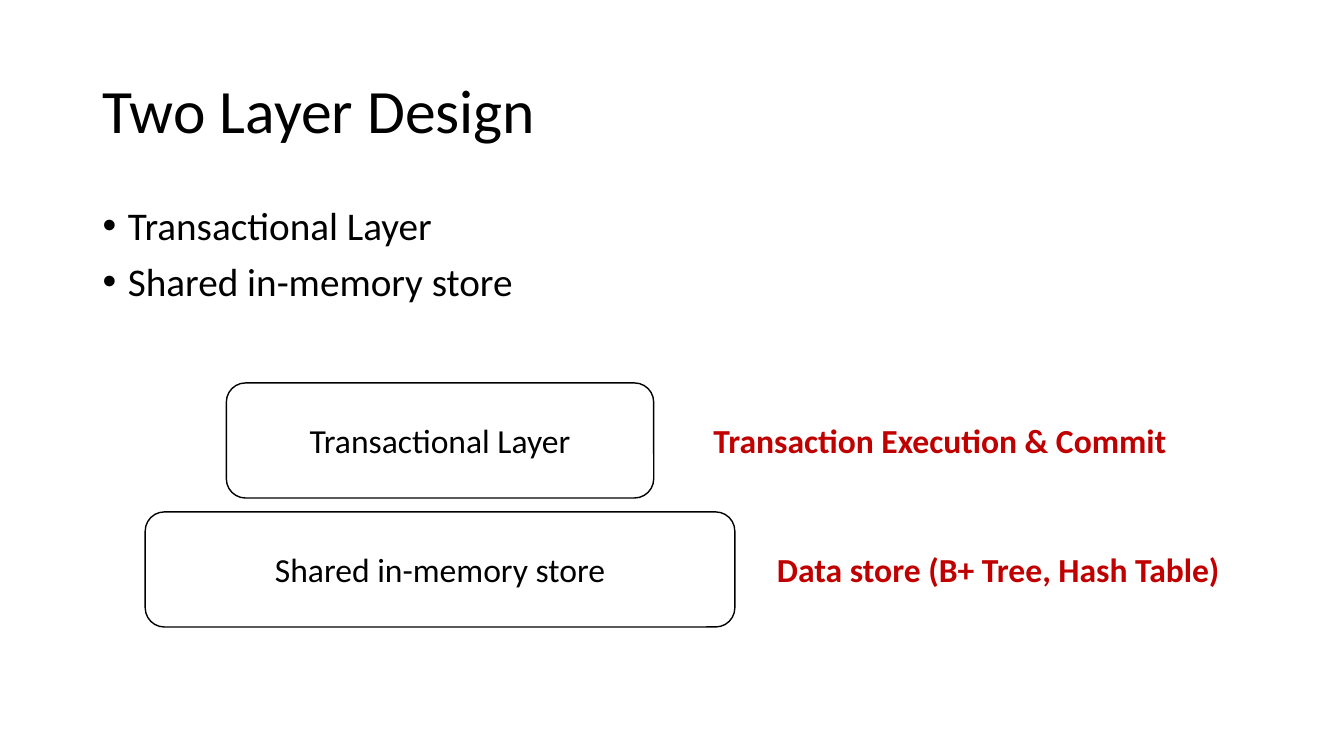
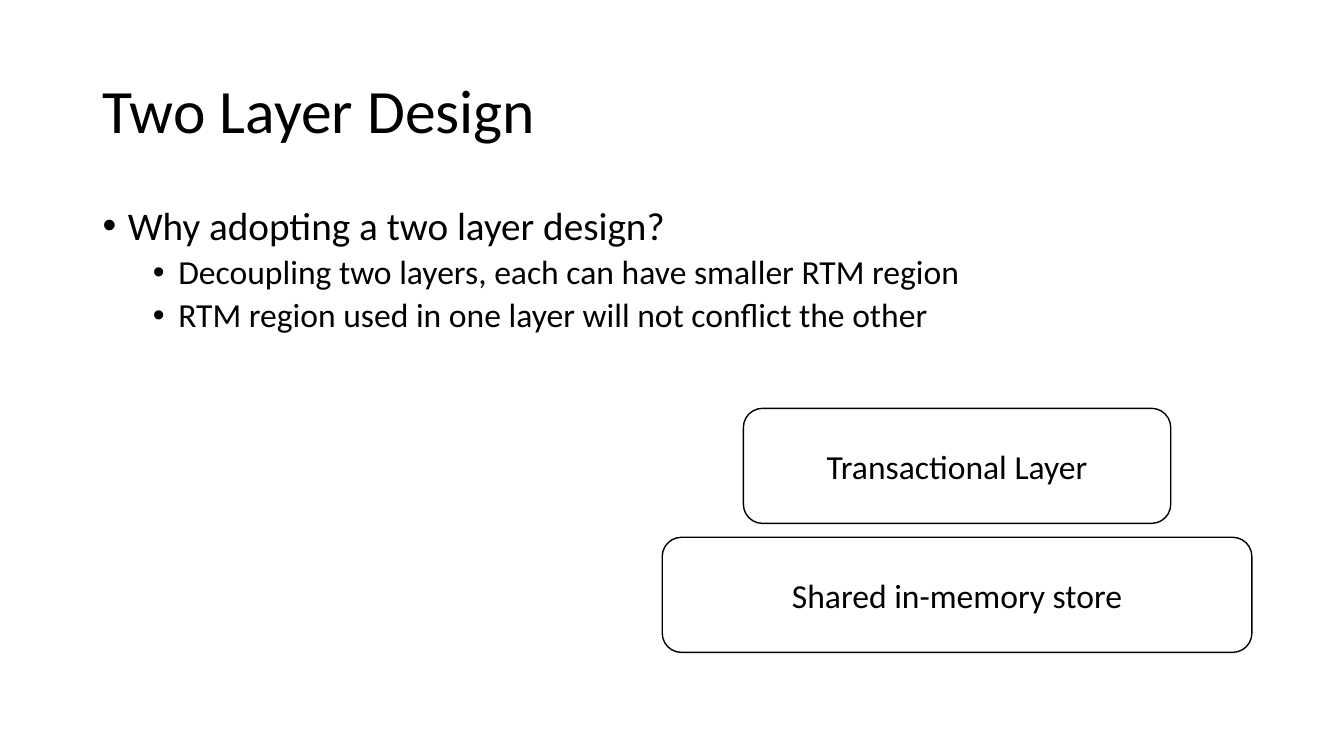
"""Build two slides on a two layer design."""
from pptx import Presentation
from pptx.dml.color import RGBColor
from pptx.enum.shapes import MSO_SHAPE
from pptx.enum.text import MSO_ANCHOR, MSO_AUTO_SIZE, PP_ALIGN
from pptx.oxml.ns import qn
from pptx.util import Cm, Pt
from lxml.etree import SubElement

BLACK = RGBColor(0, 0, 0)
WHITE = RGBColor(255, 255, 255)
RED = RGBColor(192, 0, 0)

LAYERS = [("Transactional Layer", 10.77), ("Shared in-memory store", 14.86)]
HIGH, STEP = 2.9, 3.25


class Deck:
    """Hold the style and the current slide."""

    face = "Calibri"
    levels = [(28, 10, 0.64), (24, 5, 1.91)]
    hang = 0.64

    def __init__(self):
        """Open a wide, empty deck."""
        self.prs = Presentation()
        self.prs.slide_width, self.prs.slide_height = Cm(33.87), Cm(19.05)

    def style(self, para, size, color=BLACK, **more):
        """Set the font of a paragraph."""
        look = {"name": self.face, "size": Pt(size), **more}
        for key, value in look.items():
            setattr(para.font, key, value)
        para.font.color.rgb = color

    def place(self, shape, *box):
        """Move a shape to its left, top, width and height in cm."""
        for key, value in zip(("left", "top", "width", "height"), box):
            setattr(shape, key, Cm(value))

    def frame(self, shape, anchor):
        """Return a wrapped text frame of fixed size."""
        frame = shape.text_frame
        look = {"word_wrap": True, "auto_size": MSO_AUTO_SIZE.NONE,
                "vertical_anchor": anchor}
        for key, value in look.items():
            setattr(frame, key, value)
        return frame

    def start(self, title):
        """Add a slide with its title."""
        self.slide = self.prs.slides.add_slide(self.prs.slide_layouts[1])
        shape = self.slide.shapes.title
        self.place(shape, 2.33, 1.01, 29.21, 3.68)
        para = self.frame(shape, MSO_ANCHOR.MIDDLE).paragraphs[0]
        para.text = title
        para.alignment, para.line_spacing = PP_ALIGN.LEFT, 0.9
        self.style(para, 44)

    def bullets(self, items):
        """Fill the body with (level, text) items."""
        body = self.slide.placeholders[1]
        self.place(body, 2.33, 5.07, 29.21, 12.09)
        frame = self.frame(body, MSO_ANCHOR.TOP)
        frame.text = "\n".join(text for _, text in items)
        for para, (level, _) in zip(frame.paragraphs, items):
            size, before, left = self.levels[level]
            look = {"level": level, "line_spacing": 0.9,
                    "space_before": Pt(before)}
            for key, value in look.items():
                setattr(para, key, value)
            self.style(para, size)
            props = para._p.get_or_add_pPr()
            props.set("marL", str(Cm(left)))
            props.set("indent", str(Cm(-self.hang)))
            SubElement(props, qn("a:buFont"), typeface="Arial")
            SubElement(props, qn("a:buChar"), char="•")

    def layer(self, text, *box):
        """Add a rounded box with centred text."""
        shape = self.slide.shapes.add_shape(
            MSO_SHAPE.ROUNDED_RECTANGLE, *map(Cm, box))
        shape.shadow.inherit = False
        shape.fill.solid()
        shape.fill.fore_color.rgb = WHITE
        shape.line.color.rgb = BLACK
        shape.line.width = Pt(1)
        para = self.frame(shape, MSO_ANCHOR.MIDDLE).paragraphs[0]
        para.text, para.alignment = text, PP_ALIGN.CENTER
        self.style(para, 24)

    def stack(self, mid, top):
        """Stack the layers around a middle line."""
        for row, (text, wide) in enumerate(LAYERS):
            self.layer(text, mid - wide / 2, top + row * STEP, wide, HIGH)

    def label(self, text, left, top):
        """Add a bold red label."""
        box = self.slide.shapes.add_textbox(
            *map(Cm, (left, top, 13.94, 1.27)))
        frame = self.frame(box, MSO_ANCHOR.TOP)
        frame.margin_left = Cm(1.52)
        para = frame.paragraphs[0]
        para.text = text
        self.style(para, 24, RED, bold=True)


deck = Deck()
deck.start("Two Layer Design")
deck.bullets([(0, text) for text, _ in LAYERS])
top = 9.65
deck.stack(11.09, top)
roles = ["Transaction Execution & Commit", "Data store (B+ Tree, Hash Table)"]
for row, role in enumerate(roles):
    deck.label(role, 16.46 + row * 1.6, top + 0.81 + row * STEP)

deck.start("Two Layer Design")
deck.bullets([
    (0, "Why adopting a two layer design?"),
    (1, "Decoupling two layers, each can have smaller RTM region"),
    (1, "RTM region used in one layer will not conflict the other"),
])
deck.stack(24.12, 10.29)

deck.prs.save("out.pptx")
